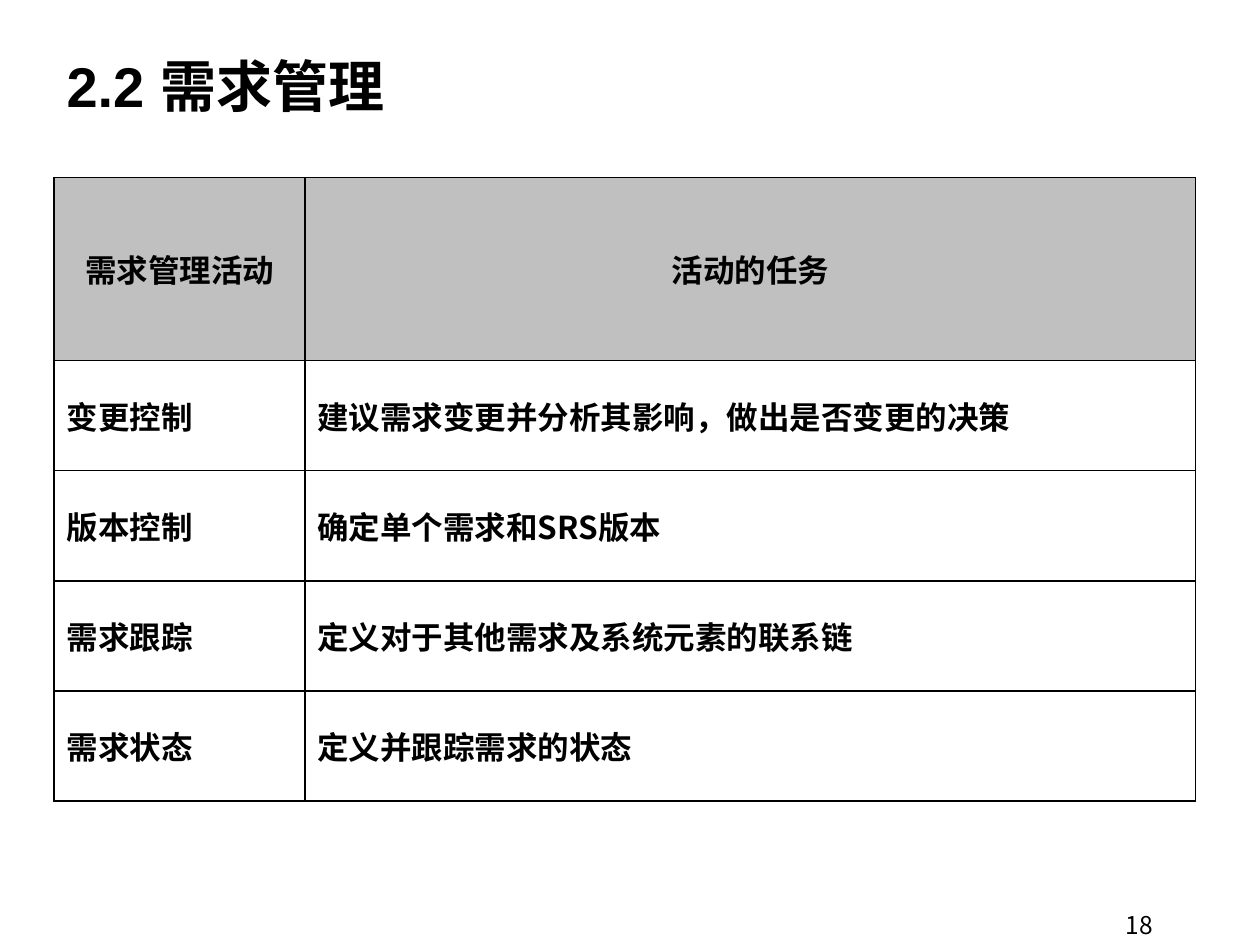
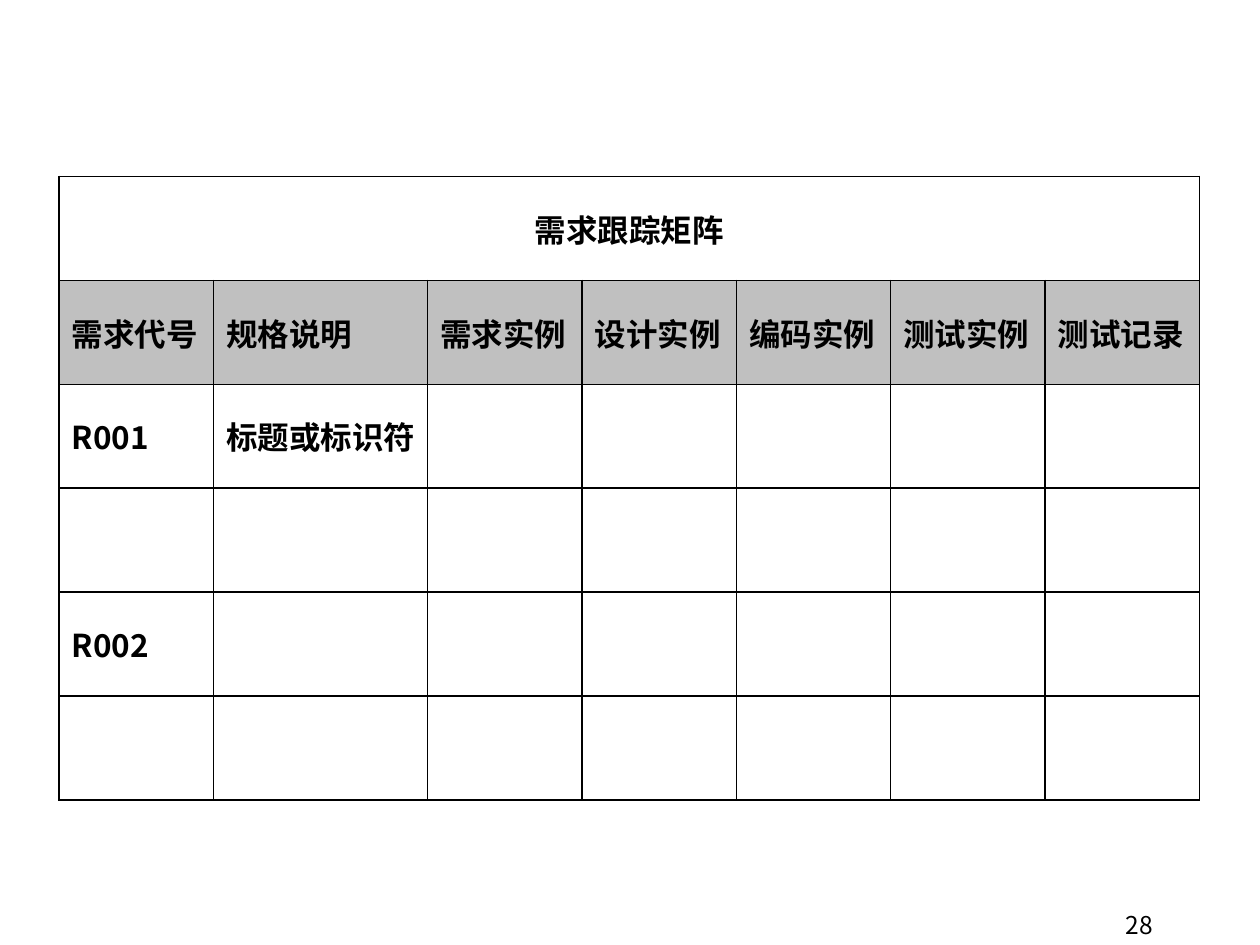
"""Builds two slides on requirements management, each with a bordered table."""
from lxml.etree import SubElement as Sub
from pptx import Presentation
from pptx.dml.color import RGBColor
from pptx.enum.text import MSO_ANCHOR as Anchor, PP_ALIGN as Align
from pptx.oxml.ns import qn
from pptx.util import Inches, Pt

BLACK = RGBColor(0, 0, 0)
GREY = RGBColor(0xC0, 0xC0, 0xC0)
SANS = "Noto Sans CJK SC"
HANG = Inches(0.38)

PAGES = [
    {
        "title": "2.2 需求管理",
        "number": "18",
        "place": (0.43, 1.41),
        "cols": [1.99, 7.07],
        "rows": [1.45] + [0.875] * 4,
        "head": 0,
        "center": 0,
        "cells": [
            ["需求管理活动", "活动的任务"],
            ["变更控制", "建议需求变更并分析其影响，做出是否变更的决策"],
            ["版本控制", "确定单个需求和SRS版本"],
            ["需求跟踪", "定义对于其他需求及系统元素的联系链"],
            ["需求状态", "定义并跟踪需求的状态"],
        ],
    },
    {
        "number": "28",
        "place": (0.47, 1.4),
        "cols": [1.225, 1.7] + [1.225] * 5,
        "rows": [0.825] * 6,
        "head": 1,
        "center": 0,
        "cells": [
            ["需求跟踪矩阵"],
            ["需求代号", "规格说明", "需求实例", "设计实例", "编码实例", "测试实例", "测试记录"],
            ["R001", "标题或标识符"],
            [],
            ["R002"],
            [],
        ],
    },
]


def style(para, size, latin, asian=SANS, bold=True):
    font = para.font
    font.size, font.bold, font.name = Pt(size), bold, latin
    font.color.rgb = BLACK
    Sub(para._p.pPr.find(qn("a:defRPr")), qn("a:ea"), typeface=asian)


def add_text(slide, text, left, top, width, height):
    frame = slide.shapes.add_textbox(*map(Inches, (left, top, width, height))).text_frame
    frame.word_wrap = True
    frame.margin_top = frame.margin_bottom = 0
    para = frame.paragraphs[0]
    para.text = text
    return frame, para


def add_title(slide, text):
    frame, para = add_text(slide, text, 0.43, 0.36, 9.06, 0.63)
    frame.vertical_anchor = Anchor.MIDDLE
    style(para, 32, "Arial")


def add_number(slide, text):
    para = add_text(slide, text, 7.17, 7.22, 2.08, 0.28)[1]
    para.alignment = Align.RIGHT
    style(para, 14, "Noto Sans CJK KR", "Noto Sans CJK KR", False)


def add_border(cell):
    props = cell._tc.get_or_add_tcPr()
    for side in "LRTB":
        line = Sub(props, qn(f"a:ln{side}"), w=str(Pt(1)))
        fill = Sub(line, qn("a:solidFill"))
        Sub(fill, qn("a:srgbClr"), val=str(BLACK))


def fill_cell(cell, text, head, center):
    add_border(cell)
    if head:
        cell.fill.solid()
        cell.fill.fore_color.rgb = GREY
    else:
        cell.fill.background()
    cell.vertical_anchor = Anchor.MIDDLE
    if text:
        para = cell.text_frame.paragraphs[0]
        para.text = text
        para.alignment = Align.CENTER if center else Align.LEFT
        props = para._p.get_or_add_pPr()
        props.set("marL", str(HANG))
        props.set("indent", str(-HANG))
        style(para, 18, SANS)


def add_grid(slide, page):
    cols, rows = page["cols"], page["rows"]
    size = (*page["place"], sum(cols), sum(rows))
    table = slide.shapes.add_table(len(rows), len(cols), *map(Inches, size)).table
    for col, width in zip(table.columns, cols):
        col.width = Inches(width)
    for r, (height, texts) in enumerate(zip(rows, page["cells"])):
        table.rows[r].height = Inches(height)
        for c in range(len(cols)):
            text = texts[c] if c < len(texts) else ""
            fill_cell(table.cell(r, c), text, r == page["head"], r == page["center"])
    if len(page["cells"][0]) == 1:
        table.cell(0, 0).merge(table.cell(0, len(cols) - 1))


def main():
    deck = Presentation()
    deck.slide_width, deck.slide_height = Inches(10), Inches(7.5)
    for page in PAGES:
        slide = deck.slides.add_slide(deck.slide_layouts[6])
        add_number(slide, page["number"])
        if "title" in page:
            add_title(slide, page["title"])
        add_grid(slide, page)
    deck.save("out.pptx")


if __name__ == "__main__":
    main()
